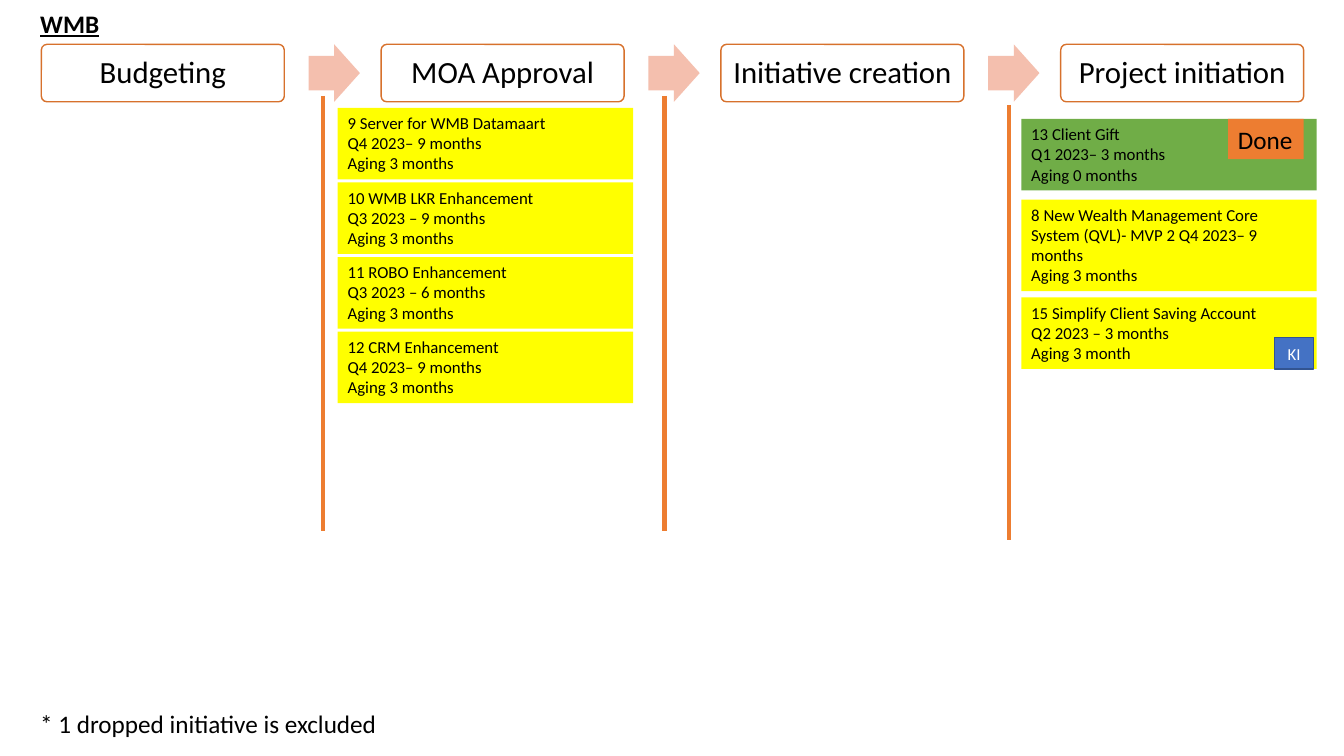
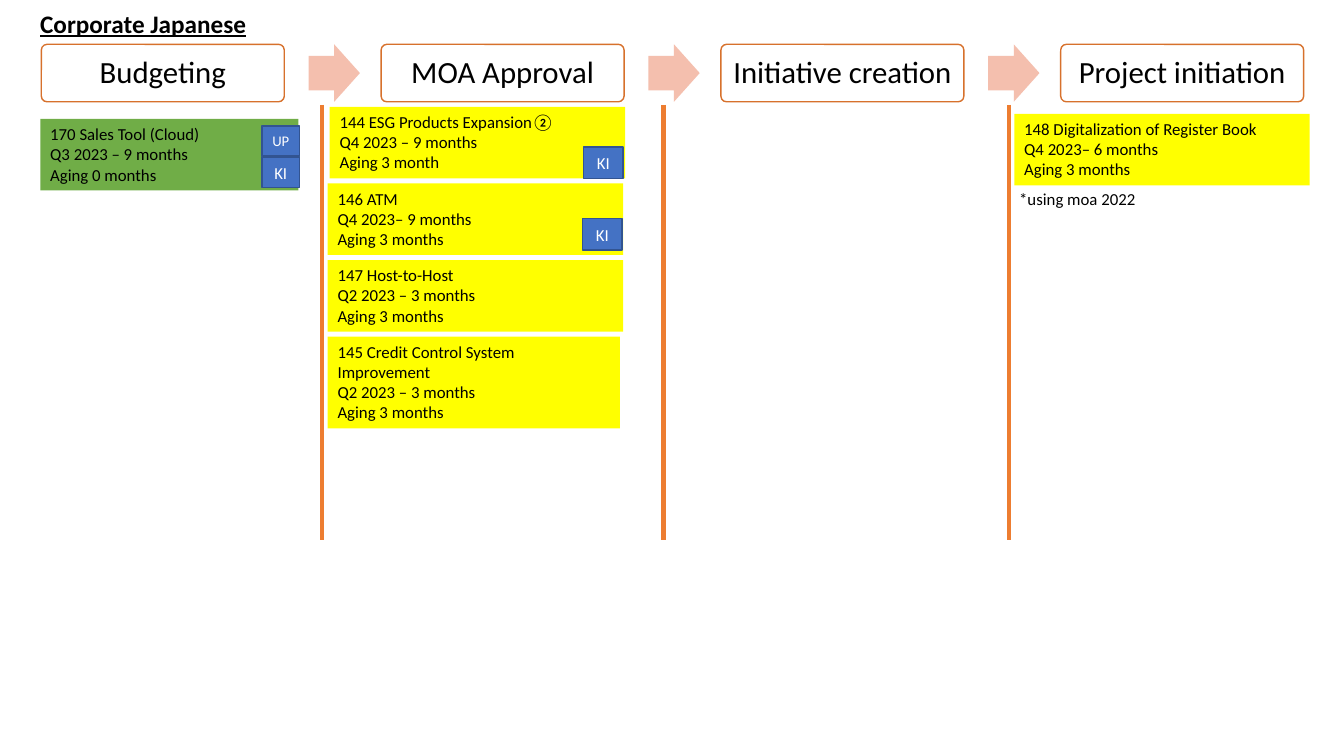
from dataclasses import dataclass
from typing import NamedTuple

from lxml import etree
from pptx import Presentation
from pptx.dml.color import RGBColor
from pptx.enum.shapes import MSO_CONNECTOR, MSO_SHAPE
from pptx.enum.text import MSO_ANCHOR, MSO_AUTO_SIZE, PP_ALIGN
from pptx.oxml.ns import qn
from pptx.util import Inches, Pt

RECT = MSO_SHAPE.RECTANGLE
ROUNDED = MSO_SHAPE.ROUNDED_RECTANGLE
ARROW = MSO_SHAPE.RIGHT_ARROW
STRAIGHT = MSO_CONNECTOR.STRAIGHT
TOP, MIDDLE = MSO_ANCHOR.TOP, MSO_ANCHOR.MIDDLE
LEFT, CENTER = PP_ALIGN.LEFT, PP_ALIGN.CENTER
GROW = MSO_AUTO_SIZE.SHAPE_TO_FIT_TEXT


@dataclass(frozen=True)
class Theme:
    font: str = "Calibri"
    black: str = "000000"
    white: str = "FFFFFF"
    orange: str = "ED7D31"
    stage_line: str = "D7712C"
    arrow: str = "F4BFAE"
    open: str = "FFFF00"
    done: str = "70AD47"
    badge: str = "4472C4"
    badge_line: str = "325491"
    stage_size: float = 22
    title_size: float = 18
    body_size: float = 12
    small_size: float = 10.5


T = Theme()
STAGES = ("Budgeting", "MOA Approval", "Initiative creation", "Project initiation")
STAGE_X, STAGE_PITCH, STAGE_W = 0.41, 3.37, 2.41
STAGE_Y, STAGE_H = 0.44, 0.57
ARROW_OFFSET, ARROW_W = 2.65, 0.51
DIVIDER_H = 4.32
CARD_W, CARD_H, TALL_H = 2.93, 0.71, 0.91


class Box(NamedTuple):
    x: float
    y: float
    w: float
    h: float


class Divider(NamedTuple):
    x: float
    y: float


class Card(NamedTuple):
    x: float
    y: float
    lines: tuple[str, ...]
    fill: str = T.open
    w: float = CARD_W
    h: float = CARD_H


class Badge(NamedTuple):
    x: float
    y: float
    text: str = "KI"
    w: float = 0.39
    h: float = 0.31
    size: float = T.body_size


class Label(NamedTuple):
    box: Box
    text: str
    size: float = T.title_size
    heading: bool = False
    fill: str | None = None


class Board(NamedTuple):
    dividers: tuple[Divider, ...]
    cards: tuple[Card, ...]
    badges: tuple[Badge, ...]
    labels: tuple[Label, ...]


def heading(text: str, width: float) -> Label:
    return Label(Box(0.3, 0.03, width, 0.4), text, heading=True)


def stack_y(top: float, pitch: float, row: int) -> float:
    return round(top + row * pitch, 2)


def wmb_y(row: int) -> float:
    return stack_y(1.07, 0.74, row)


def corporate_y(row: int) -> float:
    return stack_y(1.06, 0.76, row)


BOARDS = (
    Board(
        dividers=(Divider(3.2, 0.95), Divider(6.59, 0.95), Divider(10.01, 1.04)),
        cards=(
            Card(3.35, wmb_y(0), ("9 Server for WMB Datamaart", "Q4 2023– 9 months", "Aging 3 months")),
            Card(3.35, wmb_y(1), ("10 WMB LKR Enhancement", "Q3 2023 – 9 months", "Aging 3 months")),
            Card(3.35, wmb_y(2), ("11 ROBO Enhancement", "Q3 2023 – 6 months", "Aging 3 months")),
            Card(3.35, wmb_y(3), ("12 CRM Enhancement", "Q4 2023– 9 months", "Aging 3 months")),
            Card(10.13, 1.18, ("13 Client Gift", "Q1 2023– 3 months", "Aging 0 months"), T.done),
            Card(
                10.13,
                1.98,
                ("8 New Wealth Management Core System (QVL)- MVP 2 Q4 2023– 9 months", "Aging 3 months"),
                h=TALL_H,
            ),
            Card(10.13, 2.95, ("15 Simplify Client Saving Account", "Q2 2023 – 3 months", "Aging 3 month")),
        ),
        badges=(Badge(12.64, 3.35),),
        labels=(
            heading("WMB", 0.79),
            Label(Box(12.18, 1.18, 0.75, 0.4), "Done", fill=T.orange),
            Label(Box(0.3, 6.98, 3.64, 0.4), "* 1 dropped initiative is excluded"),
        ),
    ),
    Board(
        dividers=(Divider(3.19, 1.04), Divider(6.58, 1.04), Divider(10.01, 1.04)),
        cards=(
            Card(0.4, 1.18, ("170 Sales Tool (Cloud)", "Q3 2023 – 9 months", "Aging 0 months"), T.done, 2.56),
            Card(3.27, corporate_y(0), ("144 ESG Products Expansion②", "Q4 2023 – 9 months", "Aging 3 month")),
            Card(3.25, corporate_y(1), ("146 ATM", "Q4 2023– 9 months", "Aging 3 months")),
            Card(3.25, corporate_y(2), ("147 Host-to-Host", "Q2 2023 – 3 months", "Aging 3 months")),
            Card(
                3.25,
                corporate_y(3),
                ("145 Credit Control System Improvement", "Q2 2023 – 3 months", "Aging 3 months"),
                w=2.9,
                h=TALL_H,
            ),
            Card(10.06, 1.13, ("148 Digitalization of Register Book", "Q4 2023– 6 months", "Aging 3 months")),
        ),
        badges=(
            Badge(2.6, 1.25, "UP", 0.37, 0.3, T.small_size),
            Badge(2.6, 1.56, w=0.37, h=0.3),
            Badge(5.79, 1.46),
            Badge(5.78, 2.17),
        ),
        labels=(
            heading("Corporate Japanese", 2.26),
            Label(Box(10.01, 1.82, 1.37, 0.3), "*using moa 2022", T.body_size),
        ),
    ),
)


def rgb(color: str) -> RGBColor:
    return RGBColor.from_string(color)


def add_box(slide, kind, box: Box, fill: str, line: str | None = None):
    sp = slide.shapes.add_shape(kind, *(Inches(v) for v in box))
    sp.shadow.inherit = False
    sp.fill.solid()
    sp.fill.fore_color.rgb = rgb(fill)
    if line:
        sp.line.color.rgb = rgb(line)
        sp.line.width = Pt(1)
    else:
        sp.line.fill.background()
    return sp


def write(tf, lines: tuple[str, ...], size: float, color: str = T.black, align=LEFT, anchor=TOP) -> None:
    tf.word_wrap = True
    tf.vertical_anchor = anchor
    for i, line in enumerate(lines):
        p = tf.add_paragraph() if i else tf.paragraphs[0]
        p.text = line
        p.alignment = align
        p.font.name = T.font
        p.font.size = Pt(size)
        p.font.color.rgb = rgb(color)


def set_margins(tf, inches: float) -> None:
    tf.margin_left = tf.margin_right = tf.margin_top = tf.margin_bottom = Inches(inches)


def add_stages(slide) -> None:
    for i, name in enumerate(STAGES):
        x = STAGE_X + i * STAGE_PITCH
        sp = add_box(slide, ROUNDED, Box(x, STAGE_Y, STAGE_W, STAGE_H), T.white, T.stage_line)
        sp.adjustments[0] = 0.1
        write(sp.text_frame, (name,), T.stage_size, align=CENTER, anchor=MIDDLE)
        set_margins(sp.text_frame, 0.05)
        sp.text_frame.paragraphs[0].line_spacing = 0.9
        if i < len(STAGES) - 1:
            arrow = add_box(slide, ARROW, Box(x + ARROW_OFFSET, STAGE_Y, ARROW_W, STAGE_H), T.arrow)
            arrow.adjustments[0] = 0.6
            arrow.adjustments[1] = 0.5


def add_divider(slide, divider: Divider) -> None:
    x, y = Inches(divider.x), Inches(divider.y)
    line = slide.shapes.add_connector(STRAIGHT, x, y, x, y + Inches(DIVIDER_H))
    line.line.color.rgb = rgb(T.orange)
    line.line.width = Pt(3)
    etree.SubElement(line._element.spPr, qn("a:effectLst"))


def add_card(slide, card: Card) -> None:
    sp = add_box(slide, RECT, Box(card.x, card.y, card.w, card.h), card.fill)
    write(sp.text_frame, card.lines, T.body_size)
    sp.text_frame.auto_size = GROW


def add_badge(slide, badge: Badge) -> None:
    sp = add_box(slide, RECT, Box(badge.x, badge.y, badge.w, badge.h), T.badge, T.badge_line)
    write(sp.text_frame, (badge.text,), badge.size, T.white, CENTER, MIDDLE)
    set_margins(sp.text_frame, 0)


def add_label(slide, label: Label) -> None:
    if label.fill:
        sp = add_box(slide, RECT, label.box, label.fill)
    else:
        sp = slide.shapes.add_textbox(*(Inches(v) for v in label.box))
    tf = sp.text_frame
    write(tf, (label.text,), label.size)
    tf.word_wrap = False
    tf.auto_size = GROW
    if label.heading:
        tf.paragraphs[0].font.bold = True
        tf.paragraphs[0].font.underline = True


def add_board(prs, board: Board) -> None:
    slide = prs.slides.add_slide(prs.slide_layouts[6])
    add_stages(slide)
    for divider in board.dividers:
        add_divider(slide, divider)
    for card in board.cards:
        add_card(slide, card)
    for badge in board.badges:
        add_badge(slide, badge)
    for label in board.labels:
        add_label(slide, label)


def main() -> None:
    prs = Presentation()
    prs.slide_width, prs.slide_height = Inches(13.33), Inches(7.5)
    for board in BOARDS:
        add_board(prs, board)
    prs.save("out.pptx")


if __name__ == "__main__":
    main()
